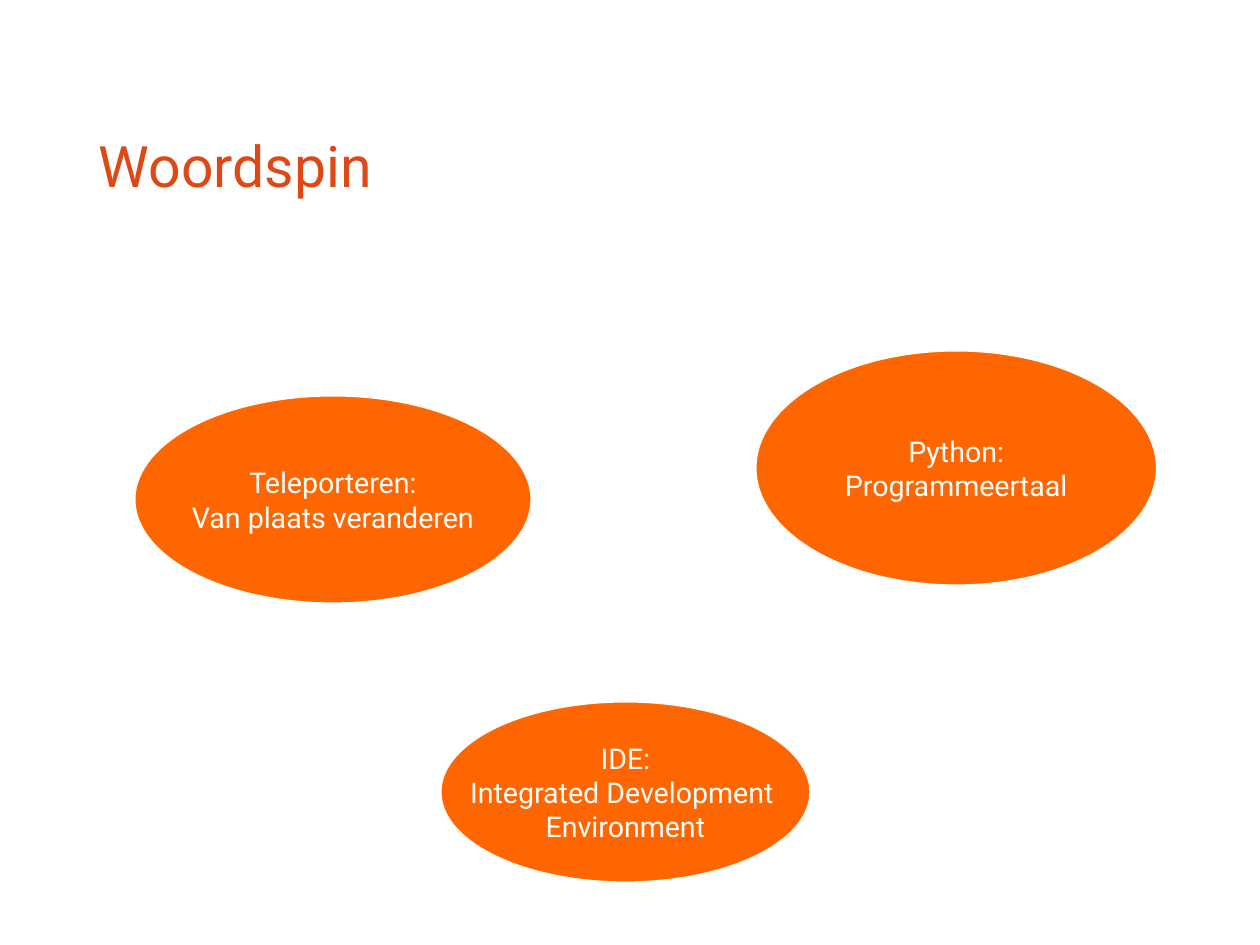
"""Build the Woordspin slide: a title and three word bubbles."""
from dataclasses import dataclass

from pptx import Presentation
from pptx.dml.color import RGBColor
from pptx.enum.shapes import MSO_SHAPE
from pptx.enum.text import MSO_ANCHOR, PP_ALIGN
from pptx.util import Cm, Pt

OVAL = MSO_SHAPE.OVAL
MIDDLE = MSO_ANCHOR.MIDDLE
LEFT, CENTER = PP_ALIGN.LEFT, PP_ALIGN.CENTER


@dataclass(frozen=True)
class Theme:
    face: str = "Roboto"
    title: RGBColor = RGBColor(0xDD, 0x48, 0x14)
    bubble: RGBColor = RGBColor(0xFF, 0x66, 0x00)
    white: RGBColor = RGBColor(0xFF, 0xFF, 0xFF)
    large: int = Pt(36)
    body: int = Pt(18)


def write(shape, lines, align, size, color, **frame):
    text = shape.text_frame
    for name, value in {"vertical_anchor": MIDDLE, **frame}.items():
        setattr(text, name, value)
    text.text = "\n".join(lines)
    for para in text.paragraphs:
        para.alignment = align
        font = para.runs[0].font
        for name, value in {"name": theme.face, "size": size}.items():
            setattr(font, name, value)
        font.color.rgb = color


theme = Theme()
deck = Presentation()
deck.slide_width, deck.slide_height = Cm(28), Cm(21)
slide = deck.slides.add_slide(deck.slide_layouts[6])

title = slide.shapes.add_textbox(Cm(2.2), Cm(2.6), Cm(23.5), Cm(2.13))
flush = dict.fromkeys(
    ("margin_left", "margin_top", "margin_right", "margin_bottom"), 0)
write(title, ["Woordspin"], LEFT, theme.large, theme.title,
      word_wrap=True, **flush)

bubbles = [
    ((16.8, 7.8, 8.9, 5.2), ["Python:", "Programmeertaal"]),
    ((9.8, 15.6, 8.2, 4),
     ["IDE:", "Integrated Development ", "Environment"]),
    ((3, 8.8, 8.8, 4.6), ["Teleporteren:", "Van plaats veranderen"]),
]
for box, lines in bubbles:
    bubble = slide.shapes.add_shape(OVAL, *map(Cm, box))
    bubble.shadow.inherit = False
    bubble.fill.solid()
    bubble.fill.fore_color.rgb = theme.bubble
    bubble.line.color.rgb = theme.white
    bubble.line.width = 0
    write(bubble, lines, CENTER, theme.body, theme.white, word_wrap=False)

deck.save("out.pptx")
